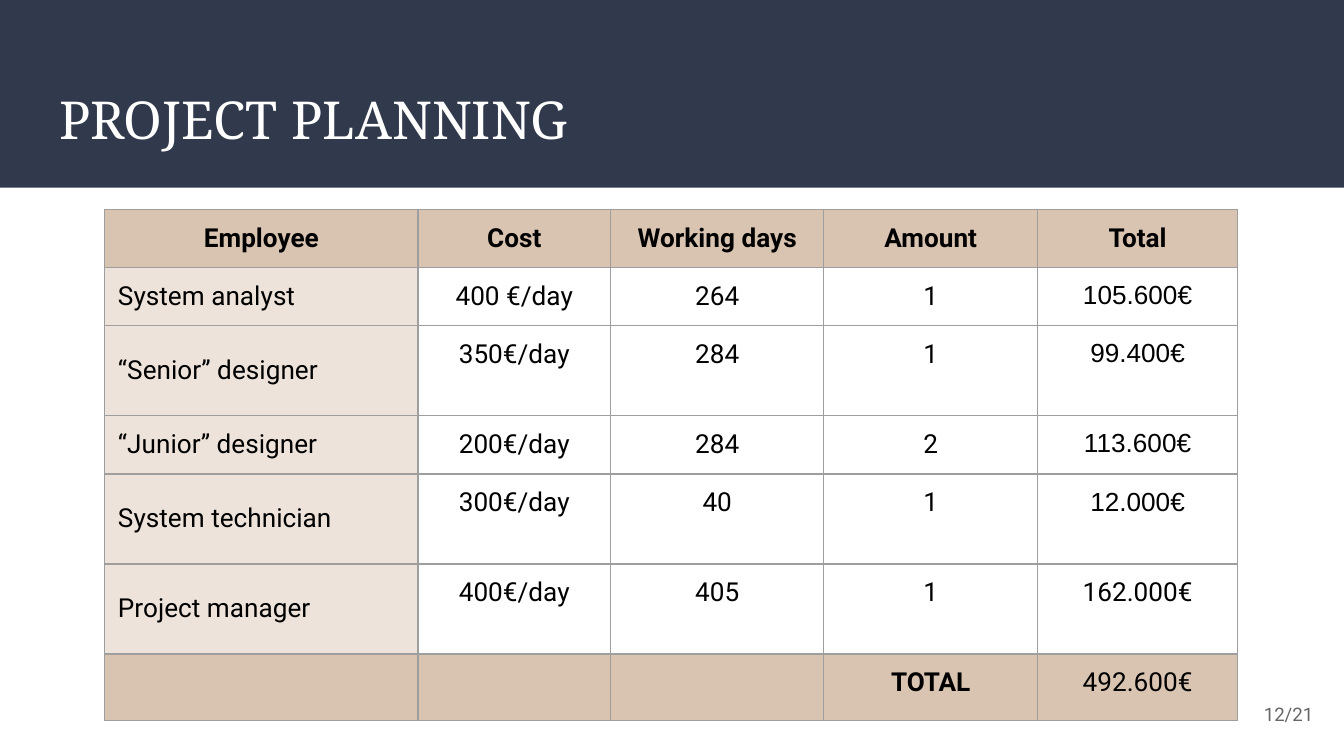
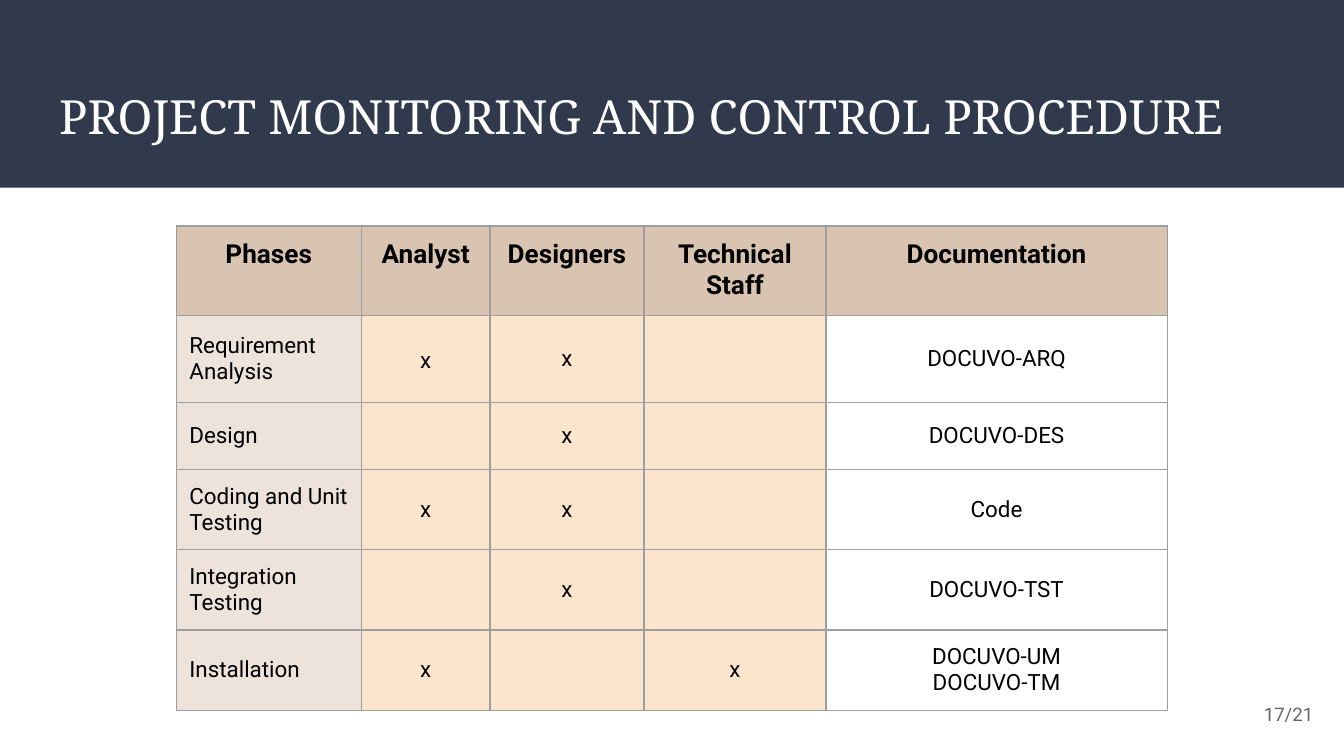
import pptx
import pptx.util
import pptx.dml.color
import pptx.enum.shapes
import pptx.enum.text
import lxml.etree
from dataclasses import dataclass

Cm = pptx.util.Cm
ALIGN = pptx.enum.text.PP_ALIGN
ANCHOR = pptx.enum.text.MSO_ANCHOR


@dataclass(frozen=True)
class Theme:
    navy: str = "31394D"
    white: str = "FFFFFF"
    black: str = "000000"
    grey: str = "666666"
    border: str = "9E9E9E"
    tan: str = "D9C4B1"
    pale: str = "EDE3DA"
    peach: str = "FCE5CD"
    heading: str = "Noto Serif"
    body: str = "Roboto"
    figures: str = "Arial"
    header_size: float = 14
    footer_size: float = 10
    inset: float = 0.25


theme = Theme()


def write(tf, text, size=14, font=theme.body, color=theme.black, bold=False,
          align=ALIGN.CENTER, spacing=None):
    """Fill a text frame, one paragraph for each line of text."""
    tf.word_wrap = True
    for i, line in enumerate(text.split("\n")):
        p = tf.add_paragraph() if i else tf.paragraphs[0]
        p.alignment = align
        if spacing:
            p.line_spacing = spacing
        r = p.add_run()
        r.text = line
        r.font.size = pptx.util.Pt(size)
        r.font.name = font
        r.font.bold = bold
        r.font.color.rgb = pptx.dml.color.RGBColor.from_string(color)


def paint_cell(cell, fill):
    """Give a cell its insets, thin grey borders and fill."""
    cell.margin_left = cell.margin_right = Cm(theme.inset)
    cell.margin_top = cell.margin_bottom = Cm(theme.inset)
    ns = "http://schemas.openxmlformats.org/drawingml/2006/main"
    tc_pr = cell._tc.get_or_add_tcPr()
    for side in ("lnL", "lnR", "lnT", "lnB"):
        ln = lxml.etree.SubElement(tc_pr, f"{{{ns}}}{side}", w=str(pptx.util.Pt(0.75)))
        solid = lxml.etree.SubElement(ln, f"{{{ns}}}solidFill")
        lxml.etree.SubElement(solid, f"{{{ns}}}srgbClr", val=theme.border)
    cell.fill.solid()
    cell.fill.fore_color.rgb = pptx.dml.color.RGBColor.from_string(fill)


# Content of the slides; lengths in centimetres
planning = dict(
    title="PROJECT PLANNING", title_size=28, page="12/21",
    left=1.98, top=3.96, body_size=14, anchor=ANCHOR.TOP,
    cols=[5.92, 3.64, 4.03, 4.04, 3.78],
    heights=[1.1, 1.1, 1.7, 1.1, 1.7, 1.7, 1.21],
    fills=[theme.pale] + [theme.white] * 4,
    arial_cells={(row, 4) for row in range(1, 5)}, loose_cells=set(),
    rows=[
        ["Employee", "Cost", "Working days", "Amount", "Total"],
        ["System analyst", "400 €/day", "264", "1", "105.600€"],
        ["“Senior” designer", "350€/day", "284", "1", "99.400€"],
        ["“Junior” designer", "200€/day", "284", "2", "113.600€"],
        ["System technician", "300€/day", "40", "1", "12.000€"],
        ["Project manager", "400€/day", "405", "1", "162.000€"],
        ["", "", "", "TOTAL", "492.600€"],
    ])
monitoring = dict(
    title="PROJECT MONITORING AND CONTROL PROCEDURE", title_size=25.2, page="17/21",
    left=3.33, top=4.27, body_size=12, anchor=ANCHOR.MIDDLE,
    cols=[3.5, 2.43, 2.91, 3.44, 6.45],
    heights=[1.69, 1.65, 1.21, 1.5, 1.5, 1.5],
    fills=[theme.pale] + [theme.peach] * 3 + [theme.white],
    arial_cells=set(), loose_cells={(1, 1)},
    rows=[
        ["Phases", "Analyst", "Designers", "Technical Staff", "Documentation"],
        ["Requirement Analysis", "x", "x", "", "DOCUVO-ARQ"],
        ["Design", "", "x", "", "DOCUVO-DES"],
        ["Coding and Unit Testing", "x", "x", "", "Code"],
        ["Integration Testing", "", "x", "", "DOCUVO-TST"],
        ["Installation", "x", "", "x", "DOCUVO-UM\nDOCUVO-TM"],
    ])

prs = pptx.Presentation()
prs.slide_width, prs.slide_height = Cm(25.4), Cm(14.29)

for page in (planning, monitoring):
    s = prs.slides.add_slide(prs.slide_layouts[6])

    # Title band
    sp = s.shapes.add_shape(pptx.enum.shapes.MSO_SHAPE.RECTANGLE,
                            0, 0, prs.slide_width, Cm(3.55))
    sp.shadow.inherit = False
    sp.fill.solid()
    sp.fill.fore_color.rgb = pptx.dml.color.RGBColor.from_string(theme.navy)
    sp.line.fill.background()

    # Title
    tf = s.shapes.add_textbox(Cm(0.87), Cm(1.4), Cm(23.67), Cm(1.73)).text_frame
    tf.margin_left = tf.margin_right = tf.margin_top = tf.margin_bottom = Cm(theme.inset)
    write(tf, page["title"], size=page["title_size"], font=theme.heading,
          color=theme.white, align=ALIGN.LEFT)

    # Table
    rows, cols, heights = page["rows"], page["cols"], page["heights"]
    table = s.shapes.add_table(len(rows), len(cols), Cm(page["left"]), Cm(page["top"]),
                               Cm(sum(cols)), Cm(sum(heights))).table
    table.first_row = table.horz_banding = False
    for column, width in zip(table.columns, cols):
        column.width = Cm(width)
    for i, row in enumerate(rows):
        table.rows[i].height = Cm(heights[i])
        is_header, is_total = i == 0, "TOTAL" in row
        for j, text in enumerate(row):
            cell = table.cell(i, j)
            paint_cell(cell, theme.tan if is_header or is_total else page["fills"][j])
            if not text:
                continue
            is_label = j == 0 and not is_header
            cell.vertical_anchor = (ANCHOR.TOP if is_header else
                                    ANCHOR.MIDDLE if is_label else page["anchor"])
            write(cell.text_frame, text,
                  size=theme.header_size if is_header else page["body_size"],
                  font=theme.figures if (i, j) in page["arial_cells"] else theme.body,
                  bold=is_header or text == "TOTAL",
                  align=ALIGN.LEFT if is_label else ALIGN.CENTER,
                  spacing=1.15 if (i, j) in page["loose_cells"] else None)

    # Page number
    tf = s.shapes.add_textbox(Cm(23.55), Cm(12.95), Cm(1.52), Cm(1.09)).text_frame
    tf.margin_left = tf.margin_right = tf.margin_top = tf.margin_bottom = Cm(theme.inset)
    tf.vertical_anchor = ANCHOR.MIDDLE
    write(tf, page["page"], size=theme.footer_size, color=theme.grey, align=ALIGN.RIGHT)

prs.save("out.pptx")
